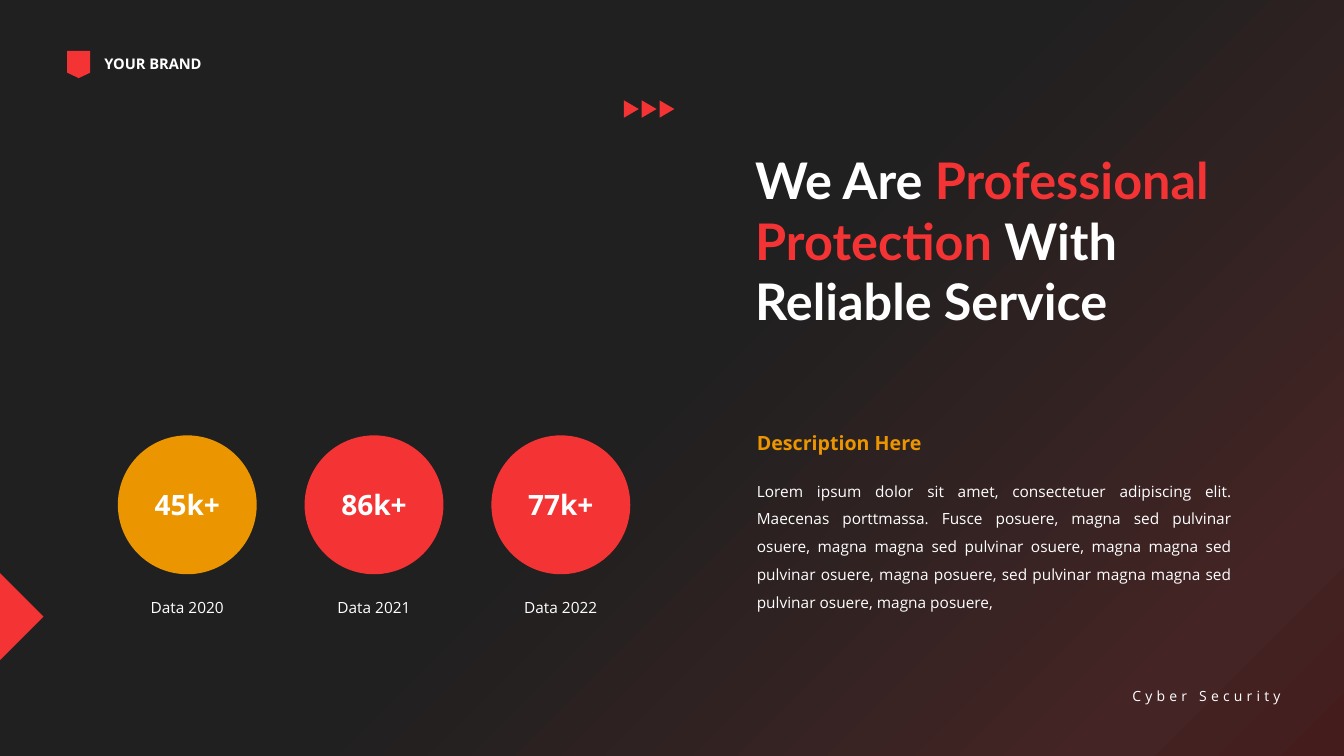
import copy
import dataclasses
import pptx
import pptx.util
import pptx.dml.color
import pptx.enum.shapes
import pptx.enum.text
import pptx.oxml.ns

Pt = pptx.util.Pt
SHAPE = pptx.enum.shapes.MSO_SHAPE
ALIGN = pptx.enum.text.PP_ALIGN
ANCHOR = pptx.enum.text.MSO_ANCHOR


@dataclasses.dataclass(frozen=True)
class Theme:
    """Colours, fonts and type sizes of the slide."""
    red: str = "F43334"
    gold: str = "EB9500"
    white: str = "FFFFFF"
    back: tuple = ((0, "202020"), (0.5, "202020"), (0.88, "442424"), (1, "441C1C"))
    head: str = "Lato"
    body: str = "Open Sans"
    title: float = 36
    figure: float = 20
    lead: float = 14
    text: float = 11
    brand: float = 10.5
    foot: float = 10


THEME = Theme()


def rgb(code):
    """Turn a hex code into a colour."""
    return pptx.dml.color.RGBColor.from_string(code)


def style(para, size, color=THEME.white, bold=False, face=THEME.body):
    """Set the font of a whole paragraph."""
    font = para.font
    font.size, font.bold, font.name = Pt(size), bold, face
    font.color.rgb = rgb(color)


def label(slide, box, text, size, align=ALIGN.LEFT, space=None, wrap=True, **look):
    """Place a text box and return its paragraph."""
    frame = slide.shapes.add_textbox(*map(Pt, box)).text_frame
    frame.word_wrap = wrap
    para = frame.paragraphs[0]
    para.text, para.alignment = text, align
    if space:
        para.line_spacing = space
    style(para, size, **look)
    return para


def shape(slide, kind, box, color, turn=0):
    """Place a plain filled shape."""
    item = slide.shapes.add_shape(kind, *map(Pt, box))
    item.shadow.inherit = False
    item.fill.solid()
    item.fill.fore_color.rgb = rgb(color)
    item.line.fill.background()
    item.rotation = turn
    return item


def backdrop(slide):
    """Fill the background with the diagonal gradient."""
    fill = slide.background.fill
    fill.gradient()
    fill.gradient_angle = 315
    stops = slide.element.find(".//" + pptx.oxml.ns.qn("a:gsLst"))
    for _ in THEME.back[2:]:
        stops.append(copy.deepcopy(stops[0]))
    for stop, (place, color) in zip(fill.gradient_stops, THEME.back):
        stop.position = place
        stop.color.rgb = rgb(color)


def brand(slide, box):
    """Place the shield and the brand name."""
    x, y, w, h = box
    shape(slide, SHAPE.FLOWCHART_OFFPAGE_CONNECTOR, (x, y, 16.5, h), THEME.red)
    label(slide, (x + 19.5, y - 0.5, w - 19.5, h), "YOUR BRAND", THEME.brand,
          wrap=False, bold=True)


def arrows(slide, box):
    """Place three triangles that point right."""
    x, y, w, h = box
    for i in range(3):
        shape(slide, SHAPE.ISOSCELES_TRIANGLE, (x + i * 12.7, y, w, h), THEME.red, 90)


def title(slide, box):
    """Place the headline with its red words."""
    para = label(slide, box, "", THEME.title, bold=True, face=THEME.head)
    for text, color in (("We Are ", THEME.white),
                        ("Professional Protection ", THEME.red),
                        ("With Reliable Service", THEME.white)):
        run = para.add_run()
        run.text = text
        run.font.color.rgb = rgb(color)


def stats(slide, box):
    """Place the row of circles, each with its year."""
    x, y, w, size = box
    rows = (("45k+", "Data 2020", THEME.gold),
            ("86k+", "Data 2021", THEME.red),
            ("77k+", "Data 2022", THEME.red))
    step = (w - size) / (len(rows) - 1)
    for i, (figure, year, color) in enumerate(rows):
        left = x + i * step
        disc = shape(slide, SHAPE.OVAL, (left, y, size, size), color)
        frame = disc.text_frame
        frame.vertical_anchor = ANCHOR.MIDDLE
        para = frame.paragraphs[0]
        para.text, para.alignment = figure, ALIGN.CENTER
        style(para, THEME.figure, bold=True)
        label(slide, (left + size / 2 - 36, y + size + 7, 72, 25), year,
              THEME.text, ALIGN.CENTER, 1.5)


def about(slide, box):
    """Place the description heading and its paragraph."""
    x, y, w, h = box
    label(slide, (x, y, w, 32), "Description Here", THEME.lead, ALIGN.JUSTIFY, 1.5,
          color=THEME.gold, bold=True)
    label(slide, (x, y + 38, w, h - 38),
          "Lorem ipsum dolor sit amet, consectetuer adipiscing elit. Maecenas "
          "porttmassa. Fusce posuere, magna sed pulvinar osuere, magna magna sed "
          "pulvinar osuere, magna magna sed pulvinar osuere, magna posuere, sed "
          "pulvinar magna magna sed pulvinar osuere, magna posuere,",
          THEME.text, ALIGN.JUSTIFY, 1.5)


def footer(slide, box):
    """Place the spaced footer text."""
    para = label(slide, box, "Cyber Security", THEME.foot, ALIGN.RIGHT)
    para.runs[0].font.size = Pt(THEME.foot)
    para.runs[0]._r.get_or_add_rPr().set("spc", "300")


def main():
    """Build and save the slide."""
    deck = pptx.Presentation()
    deck.slide_width, deck.slide_height = Pt(960), Pt(540)
    slide = deck.slides.add_slide(deck.slide_layouts[6])
    backdrop(slide)
    brand(slide, (48, 36.3, 104.5, 19.5))
    footer(slide, (792.7, 487.4, 129, 19.5))
    shape(slide, SHAPE.RIGHT_TRIANGLE, (-21.8, 418.5, 43.8, 43.8), THEME.red, 225)
    title(slide, (532.4, 103, 368, 138))
    stats(slide, (84.2, 311, 366, 99.2))
    about(slide, (533.5, 296, 353.5, 145.3))
    arrows(slide, (444.8, 72.6, 12.4, 10.6))
    deck.save("out.pptx")


if __name__ == "__main__":
    main()
